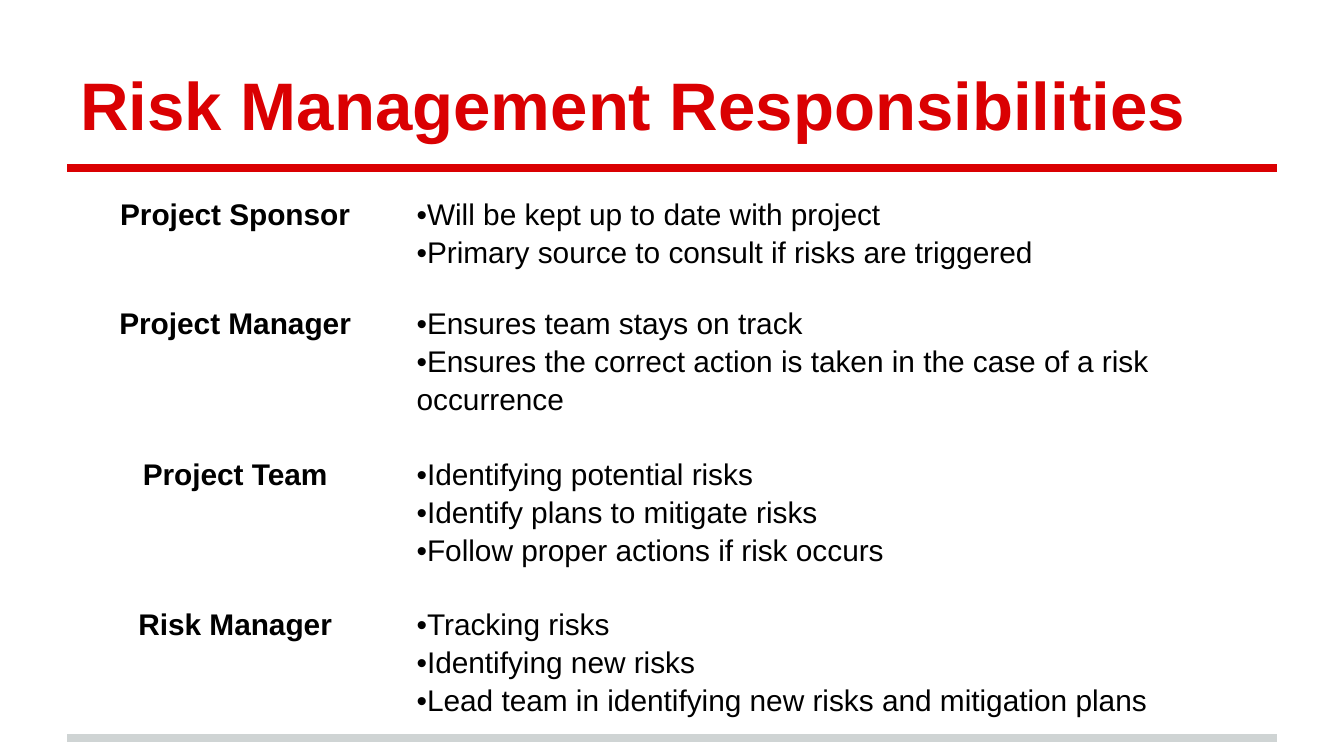
from lxml import etree
from pptx import Presentation
from pptx.dml.color import RGBColor
from pptx.enum.shapes import MSO_CONNECTOR
from pptx.enum.text import MSO_ANCHOR, PP_ALIGN
from pptx.oxml.ns import qn
from pptx.util import Inches, Pt

STRAIGHT = MSO_CONNECTOR.STRAIGHT
BOTTOM, TOP = MSO_ANCHOR.BOTTOM, MSO_ANCHOR.TOP
LEFT, CENTER = PP_ALIGN.LEFT, PP_ALIGN.CENTER

FONT = "Arial"
COLORS = {"red": "DA0002", "grey": "CFD4D4", "black": "000000"}
SLIDE_WIDTH = 10
MARGIN, CONTENT_WIDTH, INSET = 0.5, 9, 0.1
COLUMN_WIDTHS = (2.5, 6.5)
ROW_HEIGHTS = (0.69, 0.78, 0.78, 0.78)
PLAIN_TABLE_STYLE = "{2D5ABB26-0587-4C30-8999-92F81FD0307C}"

RESPONSIBILITIES = {
    "Project Sponsor": [
        "Will be kept up to date with project",
        "Primary source to consult if risks are triggered",
    ],
    "Project Manager": [
        "Ensures team stays on track",
        "Ensures the correct action is taken in the case of a risk occurrence",
    ],
    "Project Team": [
        "Identifying potential risks",
        "Identify plans to mitigate risks",
        "Follow proper actions if risk occurs",
    ],
    "Risk Manager": [
        "Tracking risks",
        "Identifying new risks",
        "Lead team in identifying new risks and mitigation plans",
    ],
}


def set_insets(holder):
    """Give a text frame or table cell equal margins on all sides."""
    holder.margin_left = holder.margin_right = Inches(INSET)
    holder.margin_top = holder.margin_bottom = Inches(INSET)


def write_lines(frame, lines, size, color, bold=False, align=LEFT, spacing=1.0):
    """Write each line as one paragraph with a single run."""
    for index, line in enumerate(lines):
        paragraph = frame.add_paragraph() if index else frame.paragraphs[0]
        paragraph.alignment = align
        paragraph.line_spacing = spacing
        run = paragraph.add_run()
        run.text = line
        run.font.name = FONT
        run.font.size = Pt(size)
        run.font.bold = bold
        run.font.color.rgb = RGBColor.from_string(COLORS[color])


def add_rule(slide, y, color):
    """Draw a horizontal rule across the content width."""
    rule = slide.shapes.add_connector(
        STRAIGHT, Inches(MARGIN), Inches(y),
        Inches(MARGIN + CONTENT_WIDTH), Inches(y))
    rule.line.width = Pt(4)
    rule.line.color.rgb = RGBColor.from_string(COLORS[color])
    etree.SubElement(rule._element.spPr, qn("a:effectLst"))


def add_title(slide, text):
    """Add the bottom-anchored slide title."""
    title = slide.shapes.add_textbox(
        Inches(MARGIN), Inches(0.23), Inches(CONTENT_WIDTH), Inches(0.94))
    frame = title.text_frame
    frame.word_wrap = True
    frame.vertical_anchor = BOTTOM
    set_insets(frame)
    write_lines(frame, [text], 36, "red", bold=True)


def clear_cell(cell):
    """Remove a cell's fill and borders and set its margins."""
    cell.fill.background()
    cell.vertical_anchor = TOP
    set_insets(cell)
    properties = cell._tc.get_or_add_tcPr()
    for position, side in enumerate(("lnL", "lnR", "lnT", "lnB")):
        border = etree.Element(qn(f"a:{side}"), w="0")
        etree.SubElement(border, qn("a:noFill"))
        properties.insert(position, border)


def add_responsibility_table(slide):
    """Add the table that pairs each role with its duties."""
    table = slide.shapes.add_table(
        len(RESPONSIBILITIES), len(COLUMN_WIDTHS), Inches(MARGIN), Inches(1.34),
        Inches(CONTENT_WIDTH), Inches(sum(ROW_HEIGHTS))).table
    table.first_row = table.horz_banding = False
    table._tbl.tblPr.find(qn("a:tableStyleId")).text = PLAIN_TABLE_STYLE
    for column, width in zip(table.columns, COLUMN_WIDTHS):
        column.width = Inches(width)
    for row, height in zip(table.rows, ROW_HEIGHTS):
        row.height = Inches(height)
    for row, (role, duties) in zip(table.rows, RESPONSIBILITIES.items()):
        role_cell, duties_cell = row.cells
        clear_cell(role_cell)
        clear_cell(duties_cell)
        write_lines(role_cell.text_frame, [role], 16, "black",
                    bold=True, align=CENTER, spacing=1.15)
        write_lines(duties_cell.text_frame, [f"•{duty}" for duty in duties],
                    16, "black", spacing=1.15)


def main():
    """Build and save the slide."""
    deck = Presentation()
    deck.slide_width = Inches(SLIDE_WIDTH)
    deck.slide_height = Inches(SLIDE_WIDTH * 9 / 16)
    slide = deck.slides.add_slide(deck.slide_layouts[6])
    add_rule(slide, 5.49, "grey")
    add_rule(slide, 1.25, "red")
    add_title(slide, "Risk Management Responsibilities")
    add_responsibility_table(slide)
    deck.save("out.pptx")


main()
